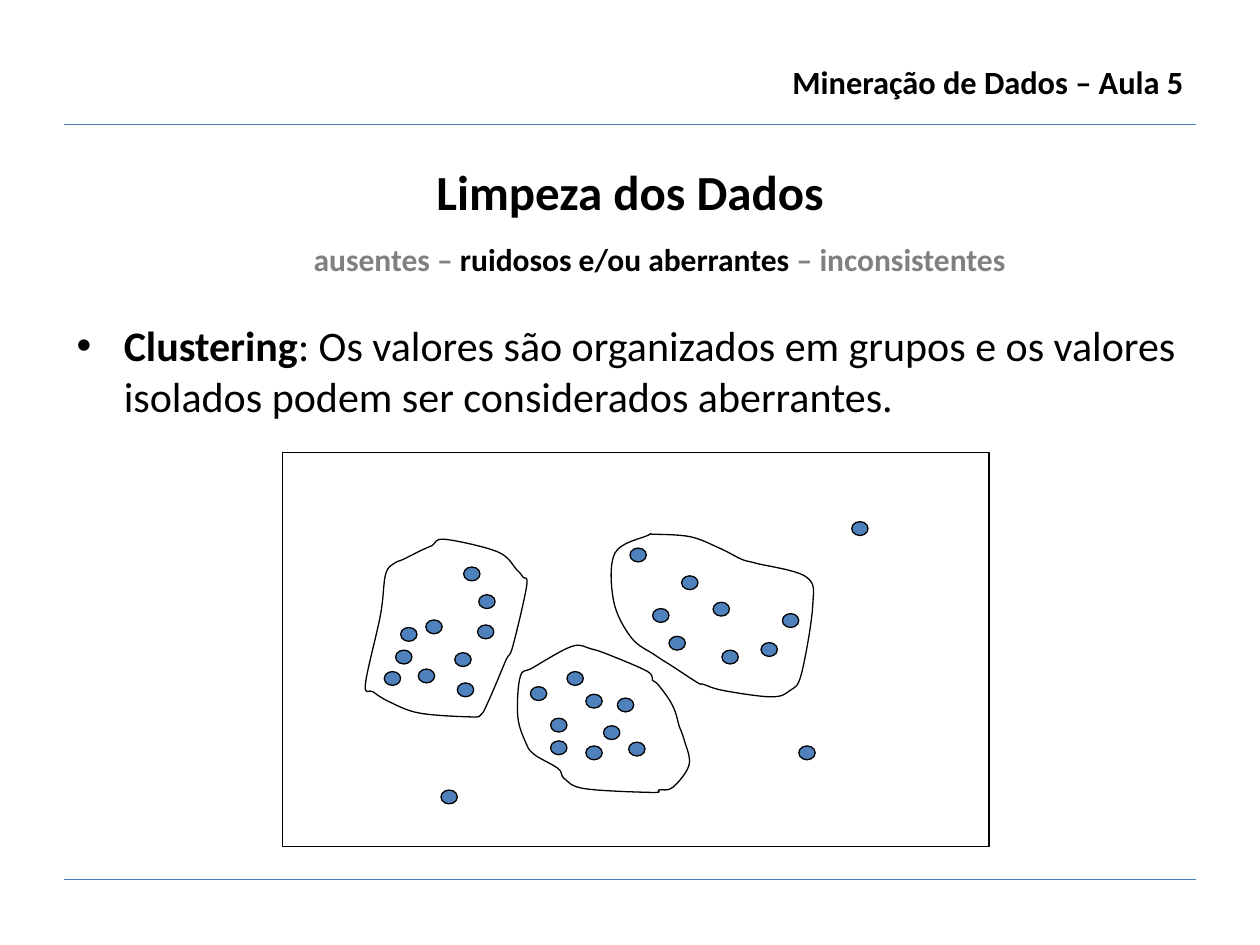
from lxml.etree import SubElement
from pptx import Presentation
from pptx.dml.color import RGBColor
from pptx.enum.shapes import MSO_CONNECTOR, MSO_SHAPE
from pptx.enum.text import MSO_ANCHOR, MSO_AUTO_SIZE, PP_ALIGN
from pptx.oxml import parse_xml
from pptx.oxml.ns import qn
from pptx.util import Cm, Pt

COLORS = {"text": "000000", "muted": "808080", "rule": "4B7EBC", "dot": "4F81BD"}
CM_PER_INCH = 2.54
DOT_SIZE = (0.13, 0.11)
RULES = [0.99, 6.98]
FRAME = (2.24, 3.59, 5.61, 3.13)

TITLE = {"at": (0.51, 1.23, 8.98, 0.55), "size": 28, "align": PP_ALIGN.CENTER,
         "spans": [("Limpeza dos Dados", "text", True)]}
TEXTS = [
    {"at": (2.01, 0.44, 7.48, 0.39), "size": 18.5, "align": PP_ALIGN.RIGHT,
     "spans": [("Mineração de Dados – Aula 5", "text", True)]},
    {"at": (2.32, 1.86, 5.83, 0.4), "size": 18, "align": PP_ALIGN.CENTER, "wrap": False,
     "spans": [("ausentes – ", "muted", True),
               ("ruidosos e/ou aberrantes", "text", True),
               (" – inconsistentes", "muted", True)]},
    {"at": (0.51, 2.49, 8.98, 1.0), "size": 24, "align": PP_ALIGN.LEFT, "bullet": "•",
     "spans": [("Clustering", "text", True),
               (": Os valores são organizados em grupos e os valores isolados "
                "podem ser considerados aberrantes.", "text", False)]},
]

OUTLIERS = [(6.34, 5.92), (3.5, 6.27), (6.76, 4.14)]
CLUSTERS = [
    {"dots": [(3.32, 5.31), (3.14, 5.16), (3.61, 5.18), (3.38, 4.92), (3.05, 5.33),
              (3.18, 4.98), (3.63, 5.42), (3.79, 4.96), (3.8, 4.72), (3.68, 4.5)],
     "outline": [(4.02, 5.23), (3.94, 5.42), (3.87, 5.58), (3.82, 5.67), (3.74, 5.69),
                 (3.33, 5.66), (3.09, 5.57), (2.96, 5.49), (2.9, 5.43), (3.02, 4.88),
                 (3.06, 4.56), (3.13, 4.47), (3.2, 4.44), (3.36, 4.36), (3.43, 4.33),
                 (3.53, 4.28), (3.95, 4.38), (4.1, 4.52), (4.15, 4.58), (4.18, 4.65),
                 (4.07, 5.13)]},
    {"dots": [(5.41, 4.57), (5.31, 5.05), (5.66, 4.78), (5.18, 4.83), (6.21, 4.87),
              (6.04, 5.1), (5.73, 5.16), (5, 4.35)],
     "outline": [(6.4, 4.58), (6.45, 4.81), (6.36, 5.35), (6.27, 5.48), (6.12, 5.53),
                 (5.74, 5.48), (5.58, 5.43), (5.54, 5.42), (5.34, 5.29), (5.2, 5.2),
                 (5.01, 5.06), (4.87, 4.77), (4.88, 4.39), (5.14, 4.25), (5.19, 4.24),
                 (5.48, 4.26), (5.71, 4.35), (5.89, 4.44), (6, 4.47)]},
    {"dots": [(4.21, 5.45), (4.9, 5.54), (4.65, 5.92), (4.79, 5.76), (4.37, 5.7),
              (4.37, 5.88), (4.5, 5.33), (4.65, 5.51), (4.99, 5.89)],
     "outline": [(4.45, 6.12), (4.4, 6.08), (4.29, 6.02), (4.23, 5.98), (4.18, 5.91),
                 (4.11, 5.69), (4.13, 5.37), (4.23, 5.3), (4.54, 5.13), (4.69, 5.15),
                 (4.84, 5.2), (5.14, 5.33), (5.18, 5.4), (5.22, 5.43), (5.31, 5.55),
                 (5.36, 5.65), (5.39, 5.76), (5.43, 5.87), (5.47, 6.07), (5.34, 6.25),
                 (5.23, 6.27), (5.18, 6.29), (4.64, 6.26), (4.48, 6.18)]},
]


def lengths(values):
    return [Cm(value * CM_PER_INCH) for value in values]


def color(name):
    return RGBColor.from_string(COLORS[name])


def write_text(box, item):
    box.left, box.top, box.width, box.height = lengths(item["at"])
    frame = box.text_frame
    settings = {"word_wrap": item.get("wrap", True), "auto_size": MSO_AUTO_SIZE.NONE,
                "vertical_anchor": MSO_ANCHOR.TOP}
    for name, value in settings.items():
        setattr(frame, name, value)
    para = frame.paragraphs[0]
    para.alignment = item["align"]
    for text, shade, bold in item["spans"]:
        span = para.add_run()
        span.text = text
        for name, value in {"name": "Calibri", "size": Pt(item["size"]), "bold": bold}.items():
            setattr(span.font, name, value)
        span.font.color.rgb = color(shade)
    if "bullet" in item:
        para.space_before = Pt(item["size"] * 0.2)
        props = para._p.get_or_add_pPr()
        props.set("marL", str(Cm(0.95)))
        props.set("indent", str(-Cm(0.95)))
        SubElement(props, qn("a:buFont")).set("typeface", "Arial")
        SubElement(props, qn("a:buChar")).set("char", item["bullet"])


def format_shape(shape, fill=None):
    shape.shadow.inherit = False
    if fill:
        shape.fill.solid()
        shape.fill.fore_color.rgb = color(fill)
    else:
        shape.fill.background()
    shape.line.color.rgb = color("text")
    shape.line.width = Pt(0.75)


def add_rule(page, y):
    rule = page.shapes.add_connector(MSO_CONNECTOR.STRAIGHT, *lengths((0.51, y, 9.49, y)))
    rule.line.color.rgb = color("rule")
    rule.line.width = Pt(0.75)
    SubElement(rule._element.spPr, qn("a:effectLst"))


def add_dot(page, spot):
    dot = page.shapes.add_shape(MSO_SHAPE.FLOWCHART_CONNECTOR, *lengths(spot + DOT_SIZE))
    format_shape(dot, "dot")


def add_outline(page, anchors):
    points = [tuple(lengths(anchor)) for anchor in anchors]
    builder = page.shapes.build_freeform(*points[0])
    builder.add_line_segments(points[1:] + points[:1], close=True)
    outline = builder.convert_to_shape()
    format_shape(outline)
    smooth(outline, points)


def smooth(outline, points):
    left, top = (min(axis) for axis in zip(*points))
    count = len(points)
    for index, line in enumerate(list(outline._element.iter(qn("a:lnTo")))):
        before, start, end, after = (points[(index + step) % count] for step in (-1, 0, 1, 2))
        first = [s + (e - b) / 6 for b, s, e in zip(before, start, end)]
        second = [e - (a - s) / 6 for s, e, a in zip(start, end, after)]
        curve = parse_xml('<a:cubicBezTo xmlns:a='
                          '"http://schemas.openxmlformats.org/drawingml/2006/main"/>')
        for x, y in (first, second, end):
            point = SubElement(curve, qn("a:pt"))
            point.set("x", str(round(x - left)))
            point.set("y", str(round(y - top)))
        line.getparent().replace(line, curve)


def main():
    deck = Presentation()
    deck.slide_width, deck.slide_height = Cm(25.4), Cm(19.05)
    page = deck.slides.add_slide(deck.slide_layouts[5])
    for y in RULES:
        add_rule(page, y)
    write_text(page.shapes.title, TITLE)
    for item in TEXTS:
        write_text(page.shapes.add_textbox(*lengths(item["at"])), item)
    format_shape(page.shapes.add_shape(MSO_SHAPE.RECTANGLE, *lengths(FRAME)))
    for spot in OUTLIERS:
        add_dot(page, spot)
    for cluster in CLUSTERS:
        add_outline(page, cluster["outline"])
        for spot in cluster["dots"]:
            add_dot(page, spot)
    deck.save("out.pptx")


if __name__ == "__main__":
    main()
